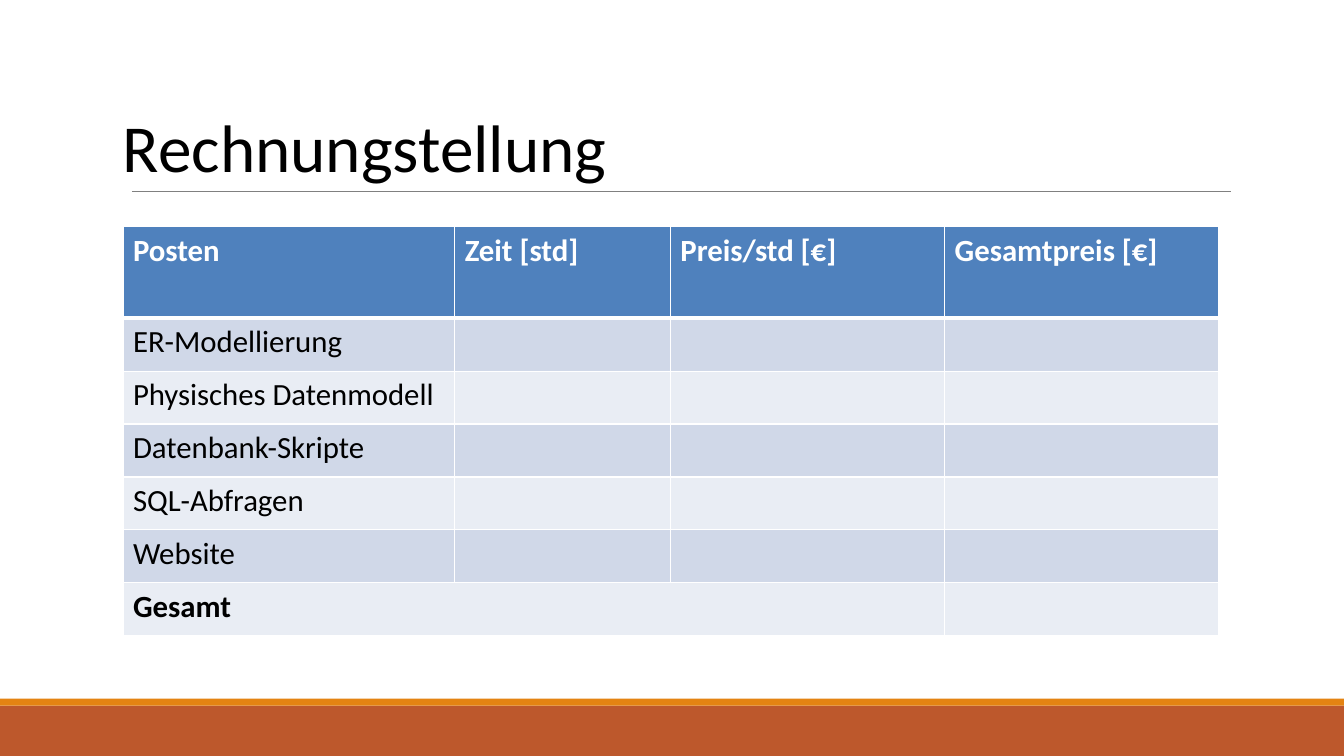
from dataclasses import dataclass

from pptx import Presentation
from pptx import util as u
from pptx.dml.color import RGBColor
from pptx.enum import shapes, text
from pptx.oxml import parse_xml
from pptx.oxml import ns


@dataclass(frozen=True)
class Theme:
    font: str = "Calibri"
    title: int = 48
    body: int = 22
    ink: str = "000000"
    white: str = "FFFFFF"
    head: str = "4F81BD"
    bands: tuple = ("D0D8E8", "E9EDF4")
    rule: str = "808080"
    stripe: str = "E48312"
    foot: str = "BD582C"


T = Theme()
WIDE, HIGH = u.Inches(13.33), u.Inches(7.5)
LEFT = 9.15
COLS = (24.68, 16.05, 20.41, 20.41)
ROWS = (12.1,) + (7,) * 6
HEADS = ("Posten", "Zeit [std]", "Preis/std [€]", "Gesamtpreis [€]")
ITEMS = ("ER-Modellierung", "Physisches Datenmodell", "Datenbank-Skripte",
         "SQL-Abfragen", "Website", "Gesamt")


# Lengths as percent of the slide's width and height
def across(share):
    return int(WIDE * share / 100)


def down(share):
    return int(HIGH * share / 100)


def box(left, top, width, height):
    return across(left), down(top), across(width), down(height)


def style(part, **form):
    color = form.pop("color")
    for key, value in {"name": T.font, **form}.items():
        setattr(part.font, key, value)
    part.font.color.rgb = RGBColor.from_string(color)


# Footer bars and title rule
def add_bar(slide, top, height, color):
    bar = slide.shapes.add_shape(shapes.MSO_SHAPE.RECTANGLE,
                                 *box(0, top, 100, height))
    bar.shadow.inherit = False
    bar.fill.solid()
    bar.fill.fore_color.rgb = RGBColor.from_string(color)
    bar.line.fill.background()


def add_rule(slide, start, end, top):
    rule = slide.shapes.add_connector(
        shapes.MSO_CONNECTOR.STRAIGHT,
        across(start), down(top), across(end), down(top))
    rule.line.width = u.Pt(0.5)
    rule.line.color.rgb = RGBColor.from_string(T.rule)
    props = rule._element.spPr
    props.append(parse_xml(f"<a:effectLst {ns.nsdecls('a')}/>"))


# Title placeholder
def set_title(slide, words):
    title = slide.shapes.title
    title.left, title.top, title.width, title.height = box(
        LEFT, 11.6, 90, 16.67)
    frame = title.text_frame
    frame.text = words
    form = {"margin_left": 0, "margin_top": 0, "margin_right": 0,
            "margin_bottom": 0, "word_wrap": True,
            "auto_size": text.MSO_AUTO_SIZE.NONE,
            "vertical_anchor": text.MSO_ANCHOR.MIDDLE}
    for key, value in form.items():
        setattr(frame, key, value)
    para = frame.paragraphs[0]
    para.alignment = text.PP_ALIGN.LEFT
    para.line_spacing = 0.9
    style(para.runs[0], size=u.Pt(T.title), color=T.ink)


# Table cells and their white borders
def set_edges(cell, row):
    widths = {"L": 1, "R": 1, "T": 3 if row == 1 else 1,
              "B": 3 if row == 0 else 1}
    props = cell._tc.get_or_add_tcPr()
    for side, width in widths.items():
        props.append(parse_xml(
            f'<a:ln{side} {ns.nsdecls("a")} w="{u.Pt(width)}">'
            f'<a:solidFill><a:srgbClr val="{T.white}"/></a:solidFill>'
            f'</a:ln{side}>'))


def set_cell(cell, row, words):
    fill = T.bands[(row - 1) % 2] if row else T.head
    set_edges(cell, row)
    cell.fill.solid()
    cell.fill.fore_color.rgb = RGBColor.from_string(fill)
    para = cell.text_frame.paragraphs[0]
    para.text = words
    style(para.runs[0] if words else para, size=u.Pt(T.body),
          bold=row in (0, len(ITEMS)), color=T.ink if row else T.white)


def add_bill(slide):
    grid = slide.shapes.add_table(
        len(ROWS), len(COLS), *box(LEFT, 30, sum(COLS), sum(ROWS))).table
    for col, share in zip(grid.columns, COLS):
        col.width = across(share)
    for row, share in zip(grid.rows, ROWS):
        row.height = down(share)
    lines = [HEADS] + [(item, "", "", "") for item in ITEMS]
    for row, line in enumerate(lines):
        for col, words in enumerate(line):
            set_cell(grid.cell(row, col), row, words)
    last = len(ITEMS)
    grid.cell(last, 0).merge(grid.cell(last, 2))


def main():
    deck = Presentation()
    deck.slide_width, deck.slide_height = WIDE, HIGH
    slide = deck.slides.add_slide(deck.slide_layouts[5])
    add_bar(slide, 93.33, 6.67, T.foot)
    add_bar(slide, 92.4, 0.93, T.stripe)
    add_rule(slide, 9.82, 91.6, 25.33)
    set_title(slide, "Rechnungstellung")
    add_bill(slide)
    deck.save("out.pptx")


if __name__ == "__main__":
    main()
